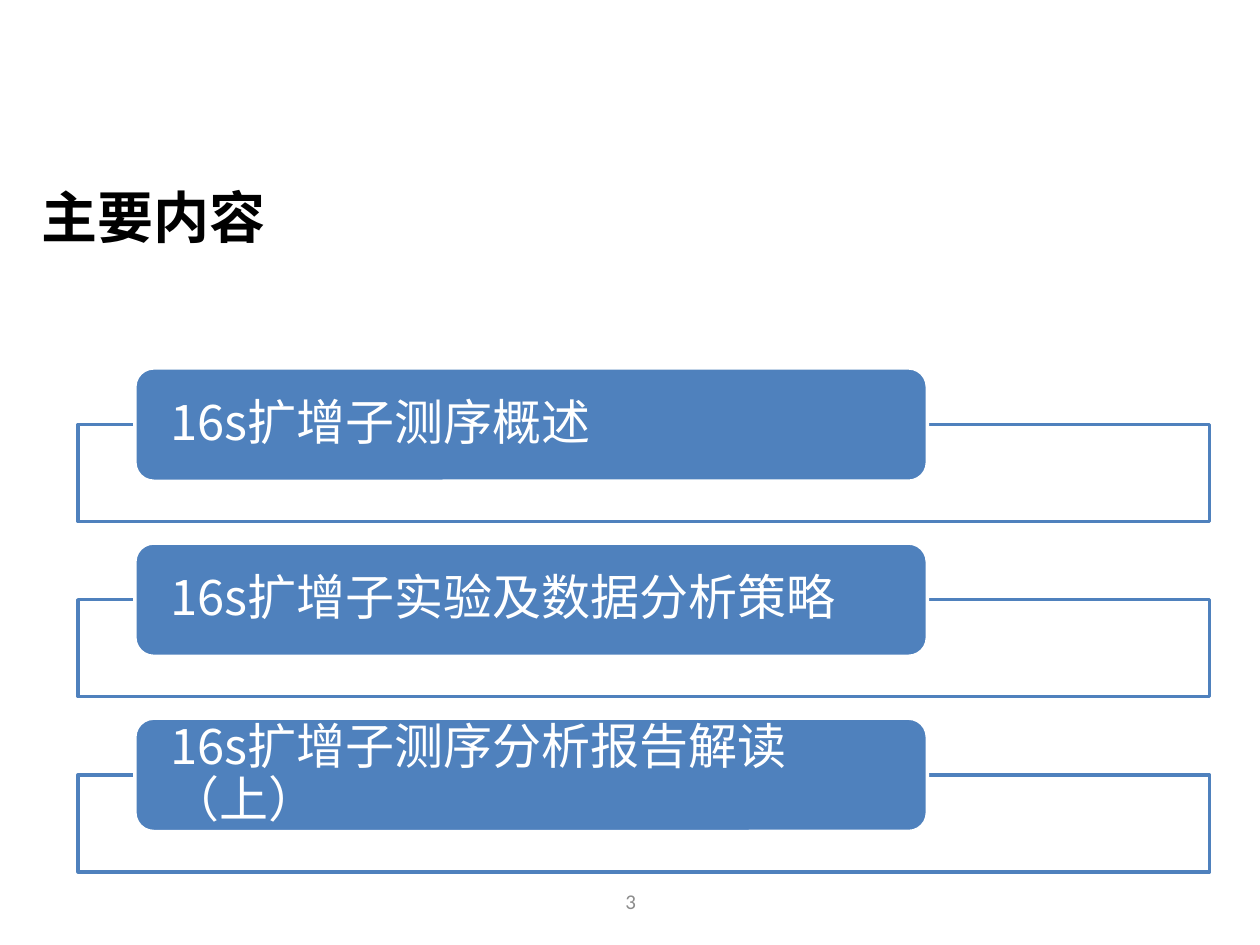
from dataclasses import dataclass

from lxml import etree
from pptx import Presentation, util as u
from pptx.dml.color import RGBColor
from pptx.enum import shapes, text
from pptx.oxml import ns


@dataclass(frozen=True)
class Theme:
    blue: str = "4F81BD"
    white: str = "FFFFFF"
    black: str = "000000"
    gray: str = "8C8C8C"
    head: int = 32
    body: int = 28
    note: int = 12
    line: int = 2
    cjk: str = "Noto Sans CJK SC"
    serif: str = "Times New Roman"
    sans: str = "Calibri"


class Deck:
    cols, rows = 100, 75

    def __init__(self, theme):
        self.theme = theme
        self.prs = Presentation()
        self.prs.slide_width = u.Inches(10)
        self.prs.slide_height = u.Inches(7.5)
        self.slide = self.prs.slides.add_slide(self.prs.slide_layouts[5])

    def area(self, left, top, wide, high):
        col = self.prs.slide_width / self.cols
        row = self.prs.slide_height / self.rows
        return [round(n) for n in (left * col, top * row, wide * col, high * row)]

    def label(self, frame, words, size, face, color, align, bold=False):
        frame.word_wrap = True
        frame.vertical_anchor = text.MSO_ANCHOR.MIDDLE
        para = frame.paragraphs[0]
        para.alignment = align
        run = para.add_run()
        run.text = words
        font = run.font
        font.size = u.Pt(size)
        font.name = face
        font.bold = bold
        font.color.rgb = RGBColor.from_string(color)
        east = etree.SubElement(run._r.get_or_add_rPr(), ns.qn("a:ea"))
        east.set("typeface", self.theme.cjk)
        return para

    def title(self, words, cell):
        t = self.theme
        box = self.slide.shapes.title
        box.left, box.top, box.width, box.height = self.area(*cell)
        self.label(box.text_frame, words, t.head, t.serif, t.black,
                   text.PP_ALIGN.LEFT, True)

    def note(self, words, cell):
        t = self.theme
        box = self.slide.shapes.add_textbox(*self.area(*cell))
        self.label(box.text_frame, words, t.note, t.sans, t.gray,
                   text.PP_ALIGN.CENTER)

    def block(self, kind, cell, fill, line, alpha=None):
        box = self.slide.shapes.add_shape(kind, *self.area(*cell))
        box.shadow.inherit = False
        box.fill.solid()
        box.fill.fore_color.rgb = RGBColor.from_string(fill)
        box.line.color.rgb = RGBColor.from_string(line)
        box.line.width = u.Pt(self.theme.line)
        if alpha:
            tint = box.fill._xPr.find(ns.qn("a:solidFill"))[0]
            etree.SubElement(tint, ns.qn("a:alpha")).set("val", str(alpha * 1000))
        return box

    def topic(self, words, top):
        t = self.theme
        kind = shapes.MSO_SHAPE
        self.block(kind.RECTANGLE, (6.2, top + 4.5, 89.8, 7.7), t.white, t.blue, 90)
        pill = self.block(kind.ROUNDED_RECTANGLE, (10.7, top, 62.9, 9), t.blue, t.white)
        frame = pill.text_frame
        frame.margin_left = frame.margin_right = u.Inches(0.24)
        frame.margin_top = frame.margin_bottom = 0
        para = self.label(frame, words, t.body, t.cjk, t.white, text.PP_ALIGN.LEFT)
        para.line_spacing = 0.9


def main():
    deck = Deck(Theme())
    deck.title("主要内容", (2.3, 10.9, 90, 12.5))
    topics = ("16s扩增子测序概述", "16s扩增子实验及数据分析策略",
              "16s扩增子测序分析报告解读（上）")
    for i, words in enumerate(topics):
        deck.topic(words, 29.2 + 13.9 * i)
    deck.note("3", (34.2, 69.5, 31.7, 4))
    deck.prs.save("out.pptx")


if __name__ == "__main__":
    main()
